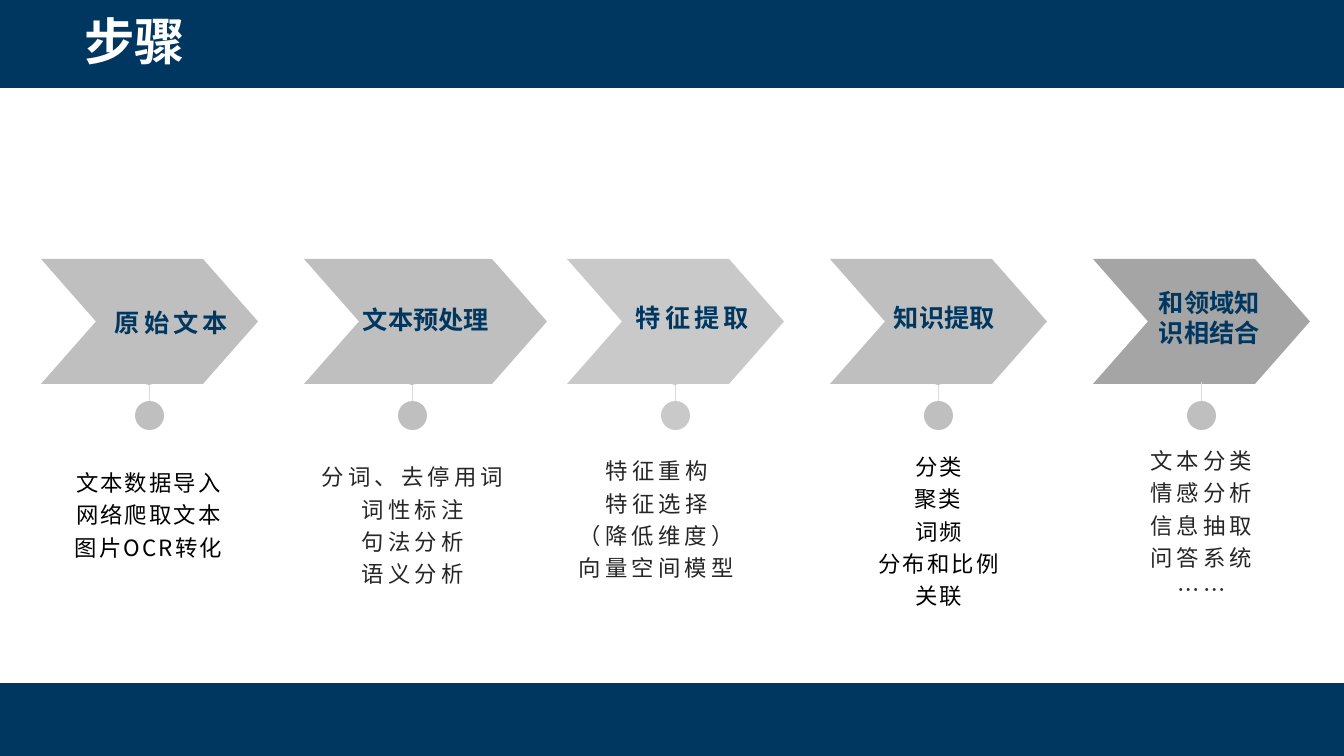
from typing import NamedTuple

from lxml import etree
from pptx import Presentation
from pptx import util as u
from pptx.dml.color import RGBColor
from pptx.enum import shapes, text
from pptx.oxml import ns

PX_PER_INCH = 100.8
PAGE_WIDTH, PAGE_HEIGHT = 1344, 756

NAVY = RGBColor(0x00, 0x37, 0x60)
WHITE = RGBColor(0xFF, 0xFF, 0xFF)
BLACK = RGBColor(0x00, 0x00, 0x00)
CHARCOAL = RGBColor(0x26, 0x26, 0x26)
GREY = RGBColor(0xBF, 0xBF, 0xBF)
LIGHT_GREY = RGBColor(0xC9, 0xC9, 0xC9)
DARK_GREY = RGBColor(0xA5, 0xA5, 0xA5)
LINE_GREY = RGBColor(0xD9, 0xD9, 0xD9)

ARIAL, NOTO = "Arial", "Noto Sans CJK SC"
TOP, BOTTOM = text.MSO_ANCHOR.TOP, text.MSO_ANCHOR.BOTTOM
LEFT, CENTER = text.PP_ALIGN.LEFT, text.PP_ALIGN.CENTER

FIRST_LEFT, PITCH = 41, 263
ARROW_TOP, ARROW_WIDTH, ARROW_HEIGHT = 259, 217, 125
STEM_TOP, STEM_BOTTOM = 382, 407
JOINT_TOP, JOINT_SIZE = 373, 12
DOT_TOP, DOT_SIZE = 401, 29


def px(length):
    return u.Inches(length / PX_PER_INCH)


class Words(NamedTuple):
    """A text block: its wording, box in px and typography."""
    wording: str
    box: tuple
    font: str = ARIAL
    color: RGBColor = NAVY
    size: int = 18
    bold: bool = True
    align: int = LEFT
    anchor: int = TOP
    line_spacing: float = 1.0
    tracking: float = 0
    grow: bool = True


class Step(NamedTuple):
    label: Words
    details: Words
    arrow_color: RGBColor = GREY
    dot_color: RGBColor = GREY
    width: int = ARROW_WIDTH
    joint: bool = True


def spaced_label(wording, box):
    return Words(wording, box, align=CENTER, anchor=BOTTOM,
                 line_spacing=1.2, tracking=3, grow=False)


def details(wording, box, font=NOTO, color=CHARCOAL, anchor=BOTTOM, tracking=3.0):
    return Words(wording, box, font, color, 16, False, CENTER, anchor,
                 1.2, tracking, False)


STEPS = [
    Step(spaced_label("原始文本", (73, 299, 197, 44)),
         details("文本数据导入\n网络爬取文本\n图片OCR转化", (50, 459, 197, 116),
                 color=BLACK, anchor=TOP, tracking=1.5)),
    Step(Words("文本预处理", (353, 299, 186, 40), font=NOTO),
         details("分词、去停用词\n词性标注\n句法分析\n语义分析", (296, 443, 233, 149)),
         width=243),
    Step(spaced_label("特征提取", (594, 294, 197, 44)),
         details("特征重构\n特征选择\n（降低维度）\n向量空间模型", (540, 437, 233, 149)),
         arrow_color=LIGHT_GREY, dot_color=LIGHT_GREY),
    Step(Words("知识提取", (884, 297, 143, 40)),
         details("分类\n聚类\v词频\n分布和比例\n关联", (840, 443, 197, 97),
                 font=ARIAL, color=BLACK, anchor=TOP, tracking=1.5)),
    Step(Words("和领域知识相结合", (1149, 282, 143, 72)),
         details("文本分类\n情感分析\n信息抽取\n问答系统\n……", (1085, 459, 233, 149)),
         arrow_color=DARK_GREY, joint=False),
]


class Slide:
    def __init__(self, deck):
        layout = deck.slide_layouts.get_by_name("Title Only")
        self.page = deck.slides.add_slide(layout)

    def shape(self, preset, left, top, width, height, color):
        shape = self.page.shapes.add_shape(preset, *map(px, (left, top, width, height)))
        shape.shadow.inherit = False
        shape.fill.solid()
        shape.fill.fore_color.rgb = color
        shape.line.fill.background()
        return shape

    def chevron(self, left, width, color):
        arrow = self.shape(shapes.MSO_SHAPE.CHEVRON, left, ARROW_TOP,
                           width, ARROW_HEIGHT, color)
        arrow.adjustments[0] = 0.44

    def dot(self, center, top, size, color):
        self.shape(shapes.MSO_SHAPE.OVAL, center - size // 2, top, size, size, color)

    def stem(self, center):
        line = self.page.shapes.add_connector(
            shapes.MSO_CONNECTOR.STRAIGHT,
            *map(px, (center, STEM_BOTTOM, center, STEM_TOP)))
        line.line.color.rgb = LINE_GREY
        line.line.width = u.Pt(0.5)
        etree.SubElement(line._element.spPr, ns.qn("a:effectLst"))

    def title(self, words):
        title = self.page.shapes.title
        self.page.shapes._spTree.append(title._element)  # in front of the band
        title.left, title.top, title.width, title.height = map(px, words.box)
        self.fill_frame(title.text_frame, words)

    def words(self, words):
        box = self.page.shapes.add_textbox(*map(px, words.box))
        self.fill_frame(box.text_frame, words)

    def fill_frame(self, frame, words):
        frame.text = words.wording
        frame.word_wrap = True
        frame.vertical_anchor = words.anchor
        frame.auto_size = (text.MSO_AUTO_SIZE.SHAPE_TO_FIT_TEXT if words.grow
                           else text.MSO_AUTO_SIZE.NONE)
        for para in frame.paragraphs:
            para.alignment = words.align
            para.line_spacing = words.line_spacing
            for span in para.runs:
                self.style_span(span, words)

    def style_span(self, span, words):
        font = span.font
        font.size = u.Pt(words.size)
        font.bold = words.bold
        font.color.rgb = words.color
        font.name = words.font
        properties = span._r.get_or_add_rPr()
        east_asian = etree.SubElement(properties, ns.qn("a:ea"))
        east_asian.set("typeface", words.font)
        if words.tracking:
            properties.set("spc", str(int(words.tracking * 100)))

    def step(self, left, step):
        """Draw one column: arrow, stem with dot, label and details."""
        center = left + ARROW_WIDTH // 2
        self.chevron(left, step.width, step.arrow_color)
        self.stem(center)
        if step.joint:
            self.dot(center, JOINT_TOP, JOINT_SIZE, step.dot_color)
        self.dot(center, DOT_TOP, DOT_SIZE, step.dot_color)
        self.words(step.label)
        self.words(step.details)


def main():
    deck = Presentation()
    deck.slide_width, deck.slide_height = px(PAGE_WIDTH), px(PAGE_HEIGHT)
    slide = Slide(deck)
    for top, bottom in ((683, PAGE_HEIGHT), (0, 88)):
        slide.shape(shapes.MSO_SHAPE.RECTANGLE, 0, top, PAGE_WIDTH, bottom - top, NAVY)
    slide.title(Words("步骤", (10, 5, 249, 72), color=WHITE, size=36, align=CENTER))
    for index, step in enumerate(STEPS):
        slide.step(FIRST_LEFT + index * PITCH, step)
    deck.save("out.pptx")


if __name__ == "__main__":
    main()
